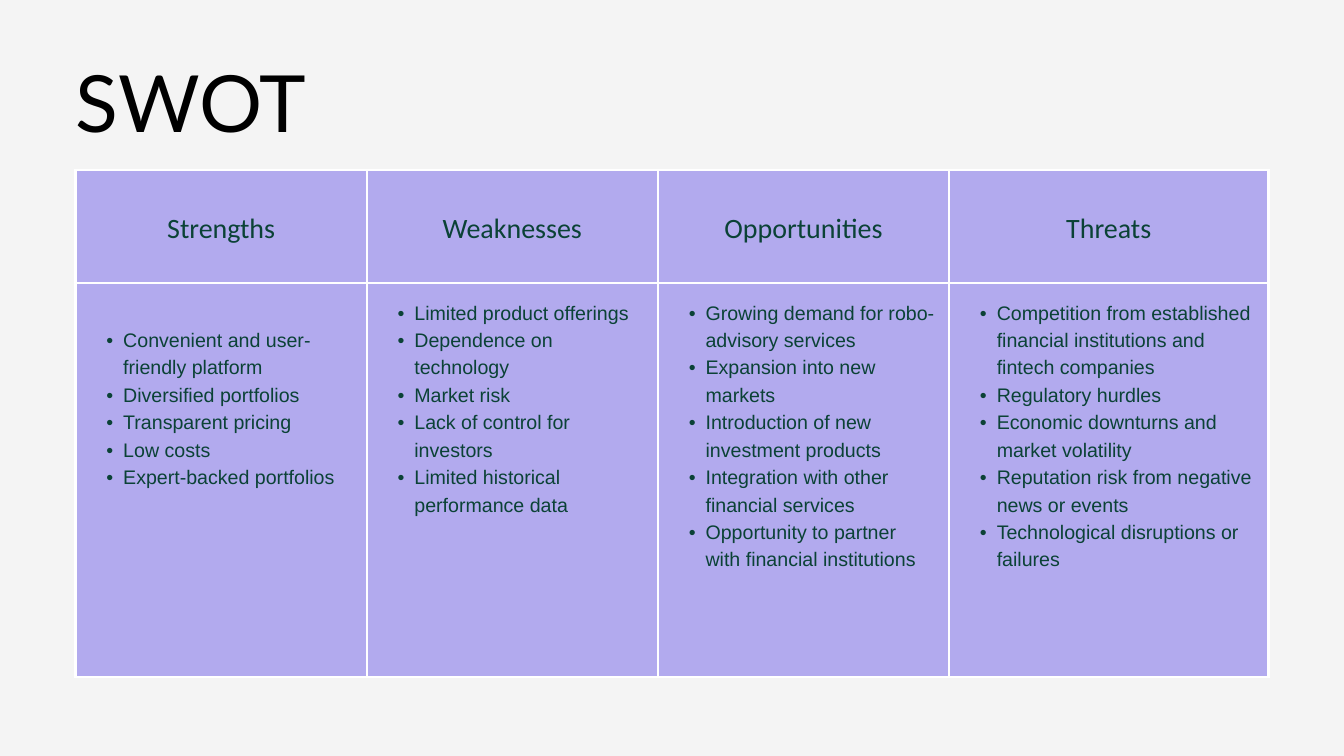
from lxml import etree
from pptx import Presentation
from pptx import util as u
from pptx.dml import color
from pptx.enum import text
from pptx.oxml import ns

PX = 9525
HUES = {"back": "F4F4F4", "title": "000000", "cell": "B2AAEE", "ink": "0B4236", "rule": "FFFFFF"}
COLS = [416, 416, 416, 456]
ROWS = [161, 563]
PAD = 20
LEAD = 39
SWOT = {
    "Strengths": [
        "Convenient and user-friendly platform",
        "Diversified portfolios",
        "Transparent pricing",
        "Low costs",
        "Expert-backed portfolios",
    ],
    "Weaknesses": [
        "Limited product offerings",
        "Dependence on technology",
        "Market risk",
        "Lack of control for investors",
        "Limited historical performance data",
    ],
    "Opportunities": [
        "Growing demand for robo-advisory services",
        "Expansion into new markets",
        "Introduction of new investment products",
        "Integration with other financial services",
        "Opportunity to partner with financial institutions",
    ],
    "Threats": [
        "Competition from established financial institutions and fintech companies",
        "Regulatory hurdles",
        "Economic downturns and market volatility",
        "Reputation risk from negative news or events",
        "Technological disruptions or failures",
    ],
}
HEAD = {"name": "Calibri", "size": u.Pt(30), "bold": False}
BODY = {"name": "Arial", "size": u.Pt(21), "bold": False}
NAME = {"name": "Lato", "size": u.Pt(84.5)}


def px(*vals):
    return [u.Emu(v * PX) for v in vals]


def apply(obj, vals):
    for key, val in vals.items():
        setattr(obj, key, val)


def hue(key):
    return color.RGBColor.from_string(HUES[key])


def add(parent, tag, **vals):
    return etree.SubElement(parent, ns.qn(tag), vals)


def write(para, words, font, ink, form):
    apply(para, form)
    run = para.add_run()
    run.text = words
    apply(run.font, font)
    run.font.color.rgb = hue(ink)


def title(slide, box):
    frame = slide.shapes.add_textbox(*px(*box)).text_frame
    apply(frame, {
        "margin_left": 0, "margin_right": 0, "margin_top": 0, "margin_bottom": 0,
        "word_wrap": True, "auto_size": text.MSO_AUTO_SIZE.SHAPE_TO_FIT_TEXT,
    })
    write(frame.paragraphs[0], "SWOT", NAME, "title", {"line_spacing": u.Pt(101.4)})


def style(cell, top=PAD):
    left, above = px(PAD, top)
    apply(cell, {"margin_left": left, "margin_right": left,
                 "margin_top": above, "margin_bottom": left})
    props = cell._tc.get_or_add_tcPr()
    for side in ("a:lnL", "a:lnR", "a:lnT", "a:lnB"):
        line = add(props, side, w=str(u.Pt(3)))
        add(add(line, "a:solidFill"), "a:srgbClr", val=HUES["rule"])
    cell.fill.solid()
    cell.fill.fore_color.rgb = hue("cell")


def bullet(para, words):
    props = para._p.get_or_add_pPr()
    left, hang = px(48, -24)
    props.set("marL", str(left))
    props.set("indent", str(hang))
    add(props, "a:buFont", typeface="Arial")
    add(props, "a:buChar", char="•")
    write(para, words, BODY, "ink", {"level": 1, "line_spacing": u.Pt(29.4)})


def matrix(slide, box):
    table = slide.shapes.add_table(len(ROWS), len(COLS), *px(*box)).table
    apply(table, {"first_row": False, "horz_banding": False})
    for col, wide in zip(table.columns, px(*COLS)):
        col.width = wide
    for row, high in zip(table.rows, px(*ROWS)):
        row.height = high
    for i, (head, items) in enumerate(SWOT.items()):
        cell = table.cell(0, i)
        style(cell)
        cell.vertical_anchor = text.MSO_ANCHOR.MIDDLE
        write(cell.text_frame.paragraphs[0], head, HEAD, "ink",
              {"alignment": text.PP_ALIGN.CENTER, "line_spacing": u.Pt(42)})
        cell = table.cell(1, i)
        style(cell, PAD + LEAD if i == 0 else PAD)
        frame = cell.text_frame
        for j, words in enumerate(items):
            bullet(frame.add_paragraph() if j else frame.paragraphs[0], words)


def main():
    deck = Presentation()
    deck.slide_width, deck.slide_height = px(1920, 1080)
    slide = deck.slides.add_slide(deck.slide_layouts[6])
    slide.background.fill.solid()
    slide.background.fill.fore_color.rgb = hue("back")
    title(slide, (108, 76, 726, 135))
    matrix(slide, (108, 243, sum(COLS), sum(ROWS)))
    deck.save("out.pptx")


if __name__ == "__main__":
    main()
